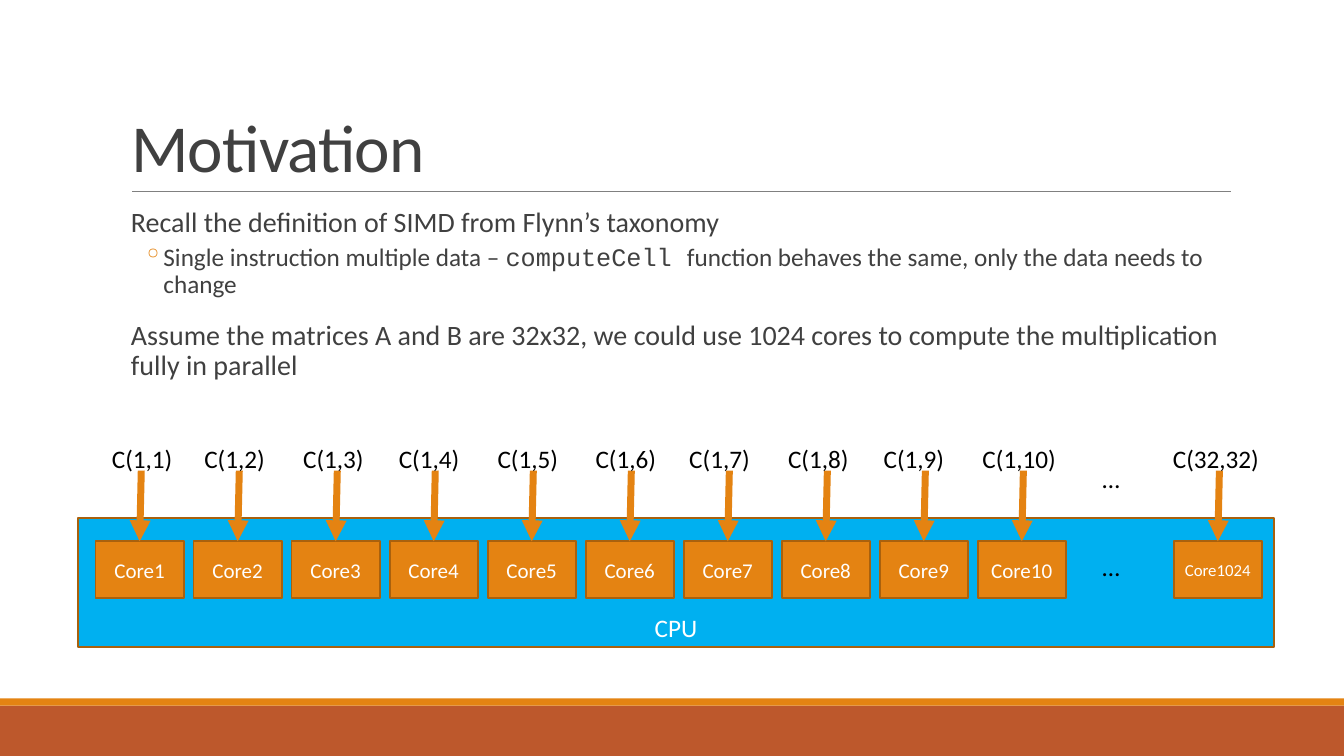
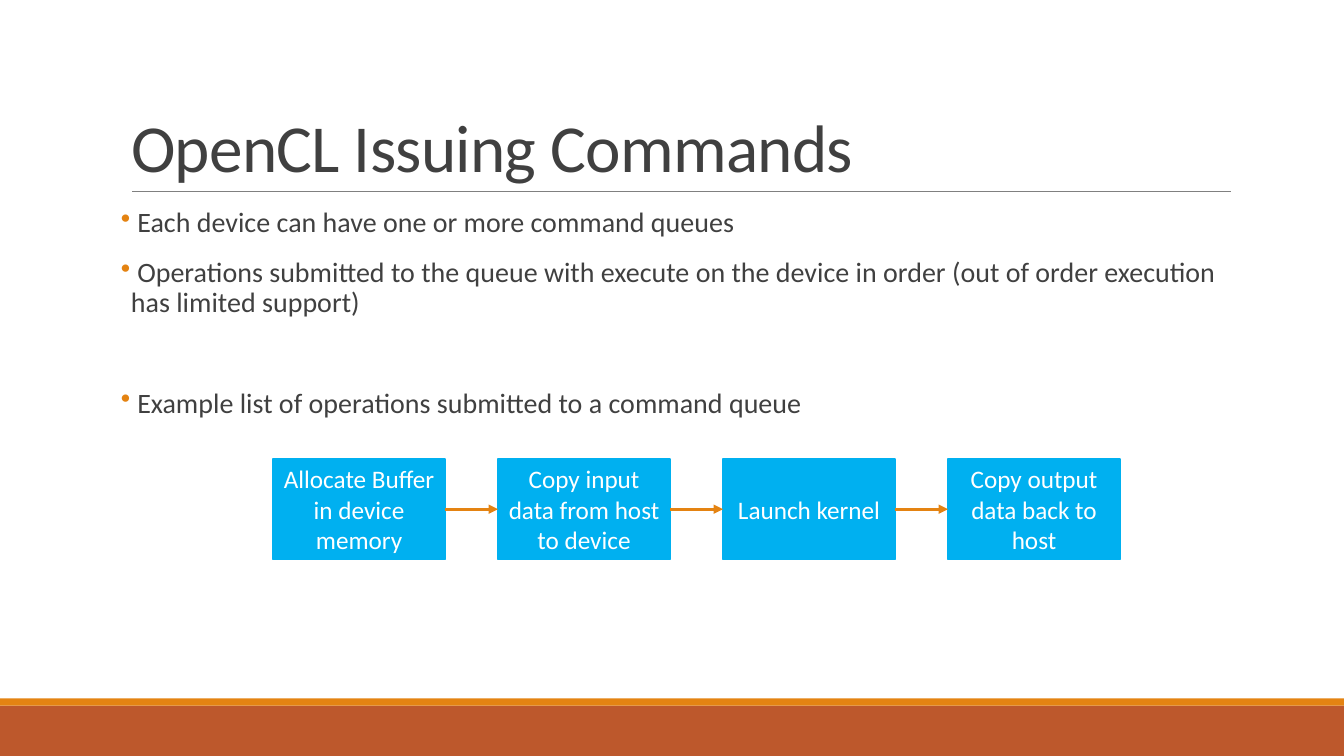
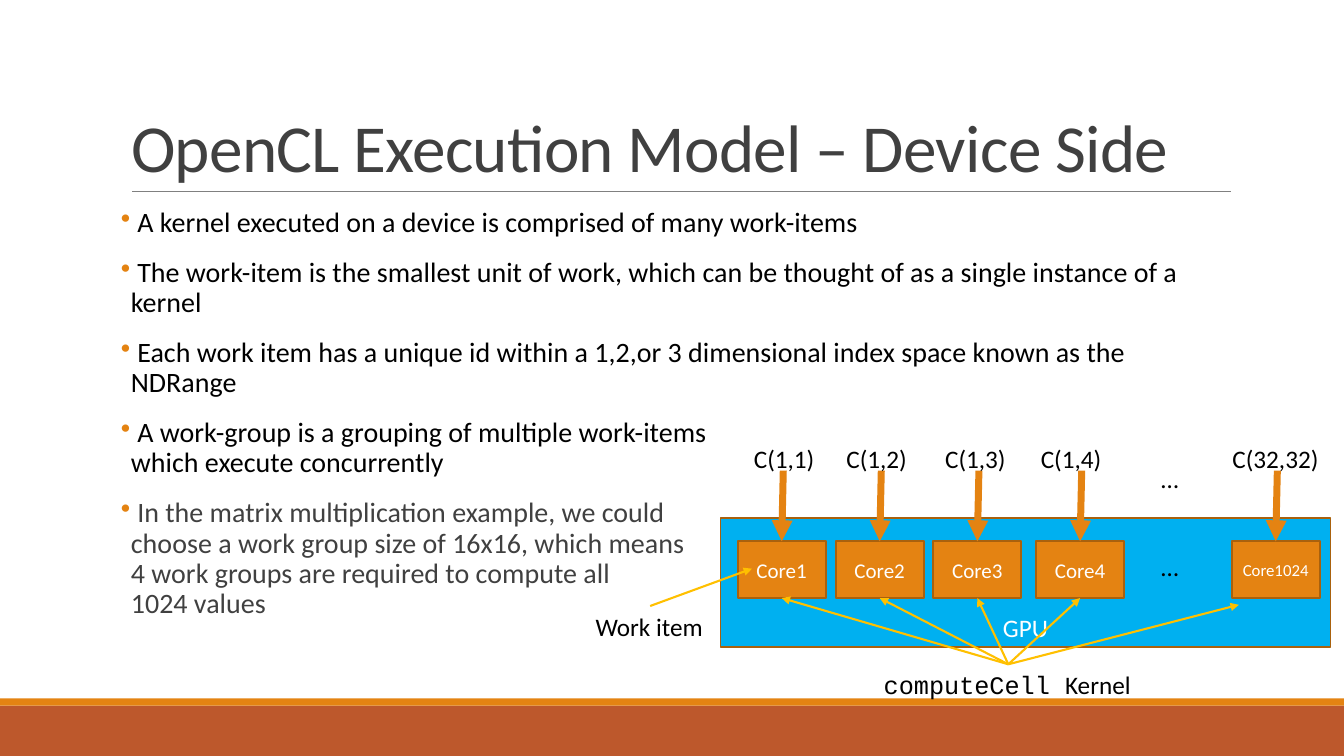
from lxml import etree
from pptx import Presentation
from pptx.dml.color import RGBColor
from pptx.enum.shapes import MSO_CONNECTOR, MSO_SHAPE
from pptx.enum.text import MSO_ANCHOR, MSO_AUTO_SIZE, PP_ALIGN
from pptx.oxml.ns import qn
from pptx.util import Cm, Pt

RECTANGLE = MSO_SHAPE.RECTANGLE
STRAIGHT = MSO_CONNECTOR.STRAIGHT
BOTTOM, MIDDLE = MSO_ANCHOR.BOTTOM, MSO_ANCHOR.MIDDLE
LEFT, CENTER = PP_ALIGN.LEFT, PP_ALIGN.CENTER
NO_FIT, GROW = MSO_AUTO_SIZE.NONE, MSO_AUTO_SIZE.SHAPE_TO_FIT_TEXT

SANS, MONO = "Calibri", "Courier New"
ORANGE, RUST, BROWN = "E48312", "BD582C", "A9610D"
BLUE, GOLD, GRAY = "00B0F0", "FFC000", "808080"
DARK, BLACK, WHITE = "404040", "000000", "FFFFFF"

TOP_SIDE, LEFT_SIDE, BOTTOM_SIDE, RIGHT_SIDE = range(4)
CORE_TOP, CORE_WIDTH, CORE_HEIGHT = 13.64, 2.22, 1.43


def rgb(color):
    """Turn a hex string into a colour."""
    return RGBColor.from_string(color)


class Deck:
    """Hold the shared style and the current slide."""

    def __init__(self):
        """Start an empty widescreen presentation."""
        self.presentation = Presentation()
        self.presentation.slide_width = Cm(33.87)
        self.presentation.slide_height = Cm(19.05)
        self.slide = None
        self.body = None

    def new_slide(self, title):
        """Add a slide with its title, rule, bands and an empty body."""
        layout = self.presentation.slide_layouts[5]
        self.slide = self.presentation.slides.add_slide(layout)
        self.box(0, 17.78, 33.87, 1.27, RUST)
        self.box(0, 17.6, 33.87, 0.18, ORANGE)
        self.line((3.33, 4.83), (31.01, 4.83), GRAY, 0.5, arrow=False)

        shape = self.slide.shapes.title
        shape.left, shape.top, shape.width, shape.height = Cm(3.05), Cm(0.79), Cm(27.94), Cm(4.04)
        frame = shape.text_frame
        frame.auto_size, frame.vertical_anchor, frame.word_wrap = NO_FIT, BOTTOM, True
        paragraph = frame.paragraphs[0]
        paragraph.alignment, paragraph.line_spacing = LEFT, 0.85
        self.set_text(paragraph, title, 48, DARK)
        paragraph.runs[0].font._element.set("spc", "-50")

        shape = self.slide.shapes.add_textbox(Cm(3.05), Cm(5.13), Cm(27.94), Cm(11.18))
        self.body = shape.text_frame
        self.body.word_wrap = True
        self.body.margin_left = self.body.margin_right = 0

    def set_text(self, paragraph, content, size, color):
        """Fill a paragraph with a string or with (text, font) runs."""
        paragraph.font.name = SANS
        paragraph.font.size = Pt(size)
        paragraph.font.color.rgb = rgb(color)
        if isinstance(content, str):
            paragraph.text = content
            return
        for text, font_name in content:
            run = paragraph.add_run()
            run.text = text
            run.font.name = font_name

    def point(self, content, bullet=None, level=0, color=DARK, before=12):
        """Add one paragraph to the body."""
        paragraph = self.body.paragraphs[0]
        if paragraph.runs:
            paragraph = self.body.add_paragraph()
            paragraph.space_before = Pt(2 if level else before)
        else:
            paragraph.space_before = Pt(0)
        paragraph.level = level
        paragraph.line_spacing = 0.9
        paragraph.space_after = Pt(4 if level else 2)
        margin, hanging = (1.07, 0.51) if level else (0.25, 0.25)
        properties = paragraph._p.get_or_add_pPr()
        properties.set("marL", str(Cm(margin)))
        properties.set("indent", str(-Cm(hanging) if bullet else 0))
        if bullet:
            bullet_color = etree.SubElement(properties, qn("a:buClr"))
            etree.SubElement(bullet_color, qn("a:srgbClr"), val=ORANGE)
            etree.SubElement(properties, qn("a:buChar"), char=bullet)
        else:
            etree.SubElement(properties, qn("a:buNone"))
        self.set_text(paragraph, content, 18 if level else 20, color)

    def box(self, left, top, width, height, fill, outline=None, text="", size=18, anchor=MIDDLE):
        """Draw a filled rectangle with optional outline and text."""
        shape = self.slide.shapes.add_shape(RECTANGLE, Cm(left), Cm(top), Cm(width), Cm(height))
        shape.shadow.inherit = False
        shape.fill.solid()
        shape.fill.fore_color.rgb = rgb(fill)
        if outline:
            shape.line.color.rgb = rgb(outline)
            shape.line.width = Pt(1.25)
        else:
            shape.line.fill.background()
        if text:
            shape.text_frame.word_wrap = True
            shape.text_frame.vertical_anchor = anchor
            paragraph = shape.text_frame.paragraphs[0]
            paragraph.alignment = CENTER
            self.set_text(paragraph, text, size, WHITE)
        return shape

    def label(self, left, top, width, content):
        """Place a one-line black label."""
        shape = self.slide.shapes.add_textbox(Cm(left), Cm(top), Cm(width), Cm(1.03))
        shape.text_frame.word_wrap = False
        shape.text_frame.auto_size = GROW
        self.set_text(shape.text_frame.paragraphs[0], content, 18, BLACK)
        return shape

    def line(self, start, end, color, width, arrow=True):
        """Draw a line between points (x, y) or sides (shape, site)."""
        start_joined, end_joined = [not isinstance(place[0], (int, float)) for place in (start, end)]
        start_x, start_y = (0, 0) if start_joined else start
        end_x, end_y = (0, 0) if end_joined else end
        connector = self.slide.shapes.add_connector(
            STRAIGHT, Cm(start_x), Cm(start_y), Cm(end_x), Cm(end_y))
        if start_joined:
            connector.begin_connect(*start)
        if end_joined:
            connector.end_connect(*end)
        connector.line.color.rgb = rgb(color)
        connector.line.width = Pt(width)
        properties = connector._element.spPr
        if arrow:
            etree.SubElement(properties.get_or_add_ln(), qn("a:tailEnd"), type="triangle")
        etree.SubElement(properties, qn("a:effectLst"))

    def processor(self, name, left, width, ellipsis_left, columns):
        """Draw a processor whose cores each receive one matrix cell."""
        self.box(left, 13.06, width, 3.25, BLUE, BROWN, name, anchor=BOTTOM)
        cores = []
        for number, cell, core_left, cell_left in columns:
            core = self.box(core_left, CORE_TOP, CORE_WIDTH, CORE_HEIGHT, ORANGE, BROWN,
                            f"Core{number}", 12 if number > 999 else 15)
            start = (core_left + CORE_WIDTH / 2 + 0.04, 11.86)
            self.line(start, (core, TOP_SIDE), ORANGE, 5)
            text = f"C({cell})"
            self.label(cell_left, 11.04, 0.33 * len(text) + 0.08, text)
            cores.append(core)
        for top in (13.77, 11.56):
            self.label(ellipsis_left, top, 1.3, "…")
        return cores


def motivation(deck):
    """Build the slide on spreading the cells over a CPU."""
    deck.new_slide("Motivation")
    deck.point("Recall the definition of SIMD from Flynn’s taxonomy")
    deck.point([("Single instruction multiple data – ", SANS), ("computeCell ", MONO),
                ("function behaves the same, only the data needs to change", SANS)],
               bullet="◦", level=1)
    deck.point("Assume the matrices A and B are 32x32, we could use 1024 cores to compute "
               "the multiplication fully in parallel")
    first_core, pitch = 2.41, 2.47
    cell_lefts = [2.57, 4.9, 7.39, 9.8, 12.29, 14.76, 17.12, 19.61, 22.02, 24.51]
    columns = [(index + 1, f"1,{index + 1}", first_core + pitch * index, cell_left)
               for index, cell_left in enumerate(cell_lefts)]
    columns.append((1024, "32,32", first_core + pitch * 11, 29.31))
    deck.processor("CPU", 1.96, 30.15, 27.53, columns)


def issuing_commands(deck):
    """Build the slide on the command queue."""
    deck.new_slide("OpenCL Issuing Commands")
    deck.point(" Each device can have one or more command queues", "•")
    deck.point(" Operations submitted to the queue with execute on the device in order "
               "(out of order execution has limited support)", "•")
    deck.point(" Example list of operations submitted to a command queue", "•", before=48)
    operations = ["Allocate Buffer in device memory", "Copy input data from host to device",
                  "Launch kernel", "Copy output data back to host"]
    boxes = [deck.box(6.88 + 5.67 * index, 11.56, 4.34, 2.54, BLUE, BLUE, operation)
             for index, operation in enumerate(operations)]
    for before, after in zip(boxes, boxes[1:]):
        deck.line((before, RIGHT_SIDE), (after, LEFT_SIDE), ORANGE, 2.25)


def device_side(deck):
    """Build the slide on work-items and the kernel."""
    deck.new_slide("OpenCL Execution Model – Device Side")
    for text in (
        " A kernel executed on a device is comprised of many work-items",
        " The work-item is the smallest unit of work, which can be thought of as a single "
        "instance of a kernel",
        " Each work item has a unique id within a 1,2,or 3 dimensional index space known as "
        "the NDRange",
        " A work-group is a grouping of multiple work-items \nwhich execute concurrently",
    ):
        deck.point(text, "•", color=BLACK)
    deck.point(" In the matrix multiplication example, we could \n"
               "choose a work group size of 16x16, which means \n"
               "4 work groups are required to compute all \n1024 values", "•")
    cores = deck.processor("GPU", 18.16, 15.37, 29.01, [
        (1, "1,1", 18.59, 18.75),
        (2, "1,2", 21.06, 21.08),
        (3, "1,3", 23.52, 23.57),
        (4, "1,4", 26.11, 25.98),
        (1024, "32,32", 31.04, 30.81),
    ])
    work_item = deck.label(14.76, 15.27, 3.25, "Work item")
    deck.line((work_item, TOP_SIDE), (18.95, 14.33), GOLD, 1.5)
    kernel = deck.label(22.02, 16.74, 6.78, [("computeCell ", MONO), ("Kernel", SANS)])
    targets = [(core, BOTTOM_SIDE) for core in cores[:-1]] + [(31.22, 15.24)]
    for target in targets:
        deck.line((kernel, TOP_SIDE), target, GOLD, 1.5)


def main():
    """Build and save the presentation."""
    deck = Deck()
    motivation(deck)
    issuing_commands(deck)
    device_side(deck)
    deck.presentation.save("out.pptx")


if __name__ == "__main__":
    main()
